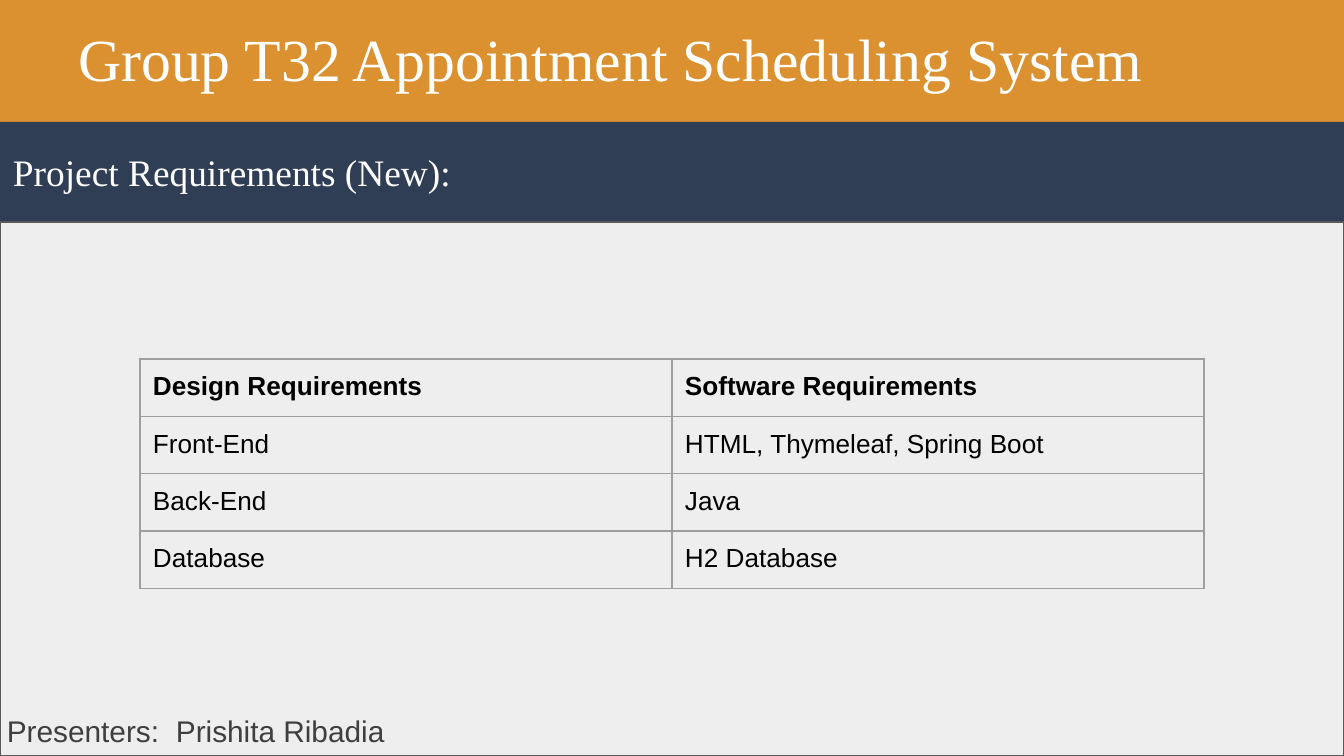
"""Build the project requirements slide of the appointment scheduling deck."""
from dataclasses import dataclass

from lxml import etree
from pptx import Presentation
from pptx import util as u
from pptx.dml.color import RGBColor
from pptx.enum import shapes, text
from pptx.oxml import ns

SCALE = u.Inches(10) / 1344
ORANGE = RGBColor(0xDB, 0x91, 0x2F)
NAVY = RGBColor(0x2F, 0x3E, 0x55)
PALE = RGBColor(0xEE, 0xEE, 0xEE)
EDGE = RGBColor(0x59, 0x59, 0x59)
GRID = RGBColor(0x9E, 0x9E, 0x9E)
WHITE = RGBColor(0xFF, 0xFF, 0xFF)
BLACK = RGBColor(0, 0, 0)
GREY = RGBColor(0x3F, 0x3F, 0x3F)
SERIF, SANS = "Times New Roman", "Arial"
PAD = 13

ROWS = (
    ("Design Requirements", "Software Requirements"),
    ("Front-End", "HTML, Thymeleaf, Spring Boot"),
    ("Back-End", "Java"),
    ("Database", "H2 Database"),
)


def px(count: int) -> u.Emu:
    return u.Emu(round(count * SCALE))


@dataclass
class Box:
    left: int
    top: int
    width: int
    height: int

    def emu(self) -> tuple:
        return px(self.left), px(self.top), px(self.width), px(self.height)


@dataclass
class Style:
    face: str
    size: int
    color: RGBColor
    bold: bool = False


@dataclass
class Label:
    words: str
    style: Style
    pad: int = PAD
    align: text.PP_ALIGN = text.PP_ALIGN.LEFT
    anchor: text.MSO_ANCHOR = text.MSO_ANCHOR.TOP


def format_runs(frame, style: Style) -> None:
    for run in frame.paragraphs[0].runs:
        font = run.font
        font.name, font.size, font.bold = style.face, u.Pt(style.size), style.bold
        font.color.rgb = style.color


def set_pads(owner, pad: int) -> None:
    owner.margin_left = owner.margin_right = px(pad)
    owner.margin_top = owner.margin_bottom = px(pad)


def write(shape, label: Label) -> None:
    frame = shape.text_frame
    frame.word_wrap = True
    frame.vertical_anchor = label.anchor
    set_pads(frame, label.pad)
    frame.text = label.words
    frame.paragraphs[0].alignment = label.align
    format_runs(frame, label.style)


def add_text(slide, box: Box, label: Label):
    shape = slide.shapes.add_textbox(*box.emu())
    write(shape, label)
    return shape


def add_band(slide, box: Box, fill: RGBColor, edge: RGBColor | None = None):
    band = slide.shapes.add_shape(shapes.MSO_SHAPE.RECTANGLE, *box.emu())
    band.shadow.inherit = False
    band.fill.solid()
    band.fill.fore_color.rgb = fill
    if edge is None:
        band.line.fill.background()
    else:
        band.line.color.rgb = edge
        band.line.width = u.Pt(0.75)
    return band


def add_stop(shape, at: int) -> None:
    props = shape.text_frame.paragraphs[0]._p.get_or_add_pPr()
    stops = etree.SubElement(props, ns.qn("a:tabLst"))
    etree.SubElement(stops, ns.qn("a:tab"), pos=str(px(at)), algn="l")


def add_edges(cell) -> None:
    props = cell._tc.get_or_add_tcPr()
    for side in ("lnL", "lnR", "lnT", "lnB"):
        line = etree.SubElement(props, ns.qn(f"a:{side}"), w=str(u.Pt(0.75)))
        fill = etree.SubElement(line, ns.qn("a:solidFill"))
        etree.SubElement(fill, ns.qn("a:srgbClr"), val=str(GRID))


def add_grid(slide, box: Box, rows: tuple) -> None:
    table = slide.shapes.add_table(len(rows), len(rows[0]), *box.emu()).table
    table.first_row = table.horz_banding = False
    for i, row in enumerate(rows):
        for j, words in enumerate(row):
            cell = table.cell(i, j)
            set_pads(cell, PAD)
            add_edges(cell)
            cell.fill.background()
            cell.text = words
            format_runs(cell.text_frame, Style(SANS, 14, BLACK, i == 0))


def main() -> None:
    deck = Presentation()
    deck.slide_width, deck.slide_height = px(1344), px(756)
    slide = deck.slides.add_slide(deck.slide_layouts[6])
    slide.background.fill.solid()
    slide.background.fill.fore_color.rgb = ORANGE

    add_text(slide, Box(0, -16, 1222, 122), Label(
        "Group T32 Appointment Scheduling System", Style(SERIF, 32, WHITE),
        align=text.PP_ALIGN.CENTER, anchor=text.MSO_ANCHOR.BOTTOM))
    head = add_band(slide, Box(0, 122, 1344, 100), NAVY)
    write(head, Label("Project Requirements (New):", Style(SERIF, 20, WHITE),
                      anchor=text.MSO_ANCHOR.MIDDLE))
    add_band(slide, Box(0, 222, 1344, 534), PALE, EDGE)
    add_grid(slide, Box(140, 359, 1064, 224), ROWS)
    foot = add_text(slide, Box(0, 706, 770, 50), Label(
        "Presenters:\tPrishita Ribadia", Style(SANS, 16, GREY), pad=7))
    foot.text_frame.auto_size = text.MSO_AUTO_SIZE.SHAPE_TO_FIT_TEXT
    add_stop(foot, 169)
    deck.save("out.pptx")


if __name__ == "__main__":
    main()
